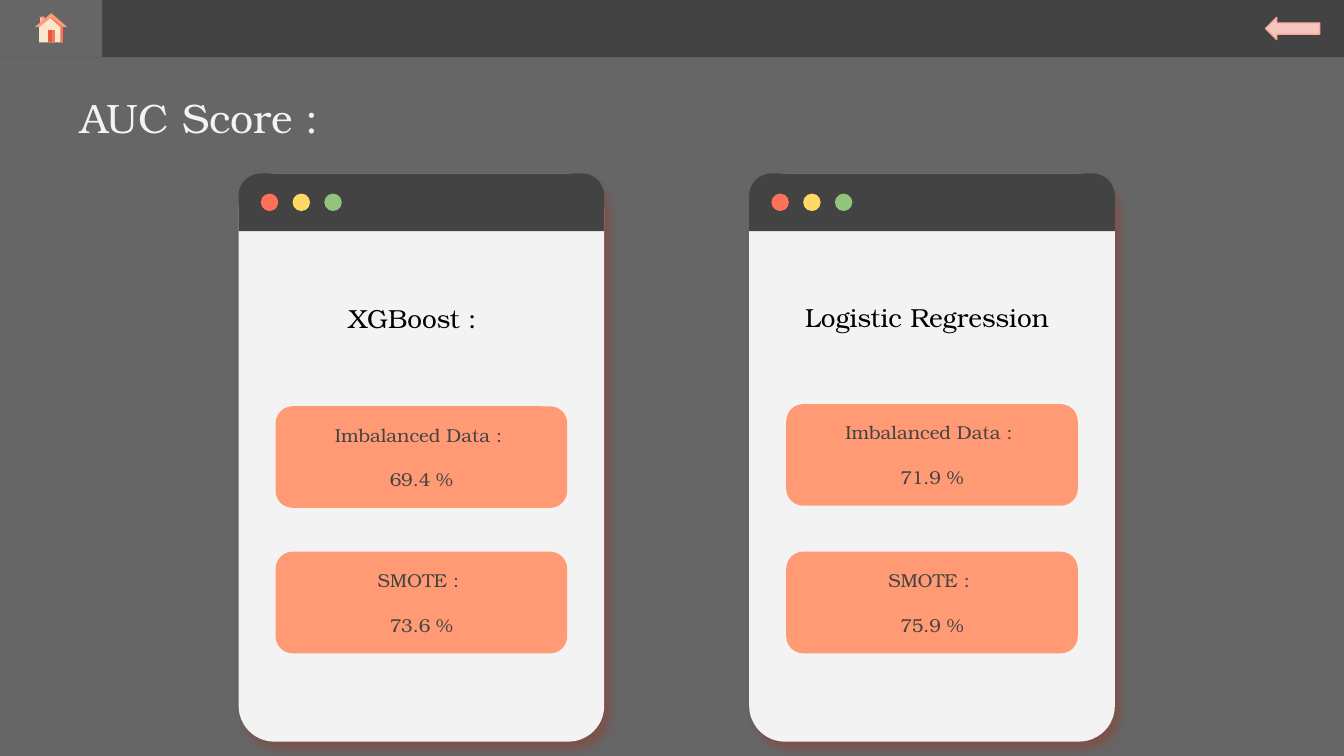
from lxml import etree
from pptx import Presentation
from pptx.dml.color import RGBColor
from pptx.enum.shapes import MSO_SHAPE
from pptx.enum.text import MSO_ANCHOR, MSO_AUTO_SIZE, PP_ALIGN
from pptx.oxml.ns import qn
from pptx.util import Cm, Pt

RECTANGLE = MSO_SHAPE.RECTANGLE
ROUNDED = MSO_SHAPE.ROUNDED_RECTANGLE
ROUNDED_TOP = MSO_SHAPE.ROUND_2_SAME_RECTANGLE
OVAL = MSO_SHAPE.OVAL
LEFT_ARROW = MSO_SHAPE.LEFT_ARROW
LEFT, CENTER = PP_ALIGN.LEFT, PP_ALIGN.CENTER
TOP, MIDDLE = MSO_ANCHOR.TOP, MSO_ANCHOR.MIDDLE

FONT = "TeX Gyre Bonum"
GREY, DARK, LIGHT, BLACK = "666666", "434343", "F3F3F3", "000000"
ORANGE, RED, DARK_RED = "FF9A75", "FF7058", "E55A43"
YELLOW, GREEN, CREAM = "FFD966", "93C47D", "FCE5CD"
PINK, DARK_PINK, SHADOW = "F6C5BE", "F9ABA0", "963A2A"

# Outlines in hundredths of a centimetre, from back to front
HOUSE_PARTS = [
    (PINK, [(76, 33), (76, 43), (84, 36), (84, 33)]),
    (DARK_PINK, [(79, 33), (79, 41), (84, 36), (84, 33)]),
    (CREAM, [(97, 30), (74, 51), (74, 80), (119, 80), (119, 51)]),
    (RED, [(97, 30), (94, 33), (114, 51), (114, 80), (119, 80), (119, 51)]),
    (DARK_RED, [(74, 30), (74, 33), (84, 33), (84, 30)]),
    (DARK_RED, [(90, 56), (90, 80), (104, 80), (104, 56)]),
    (RED, [(99, 56), (99, 80), (104, 80), (104, 56)]),
    (ORANGE, [(97, 25), (66, 51), (74, 51), (97, 33), (119, 51), (127, 51)]),
    (RED, [(81, 30), (81, 33), (84, 33), (84, 30)]),
]

# Card left, heading, heading left and top, scores as (label, value, top)
CARDS = [
    (4.51, "XGBoost : ", 4.32, 5.46,
     [("Imbalanced Data : ", "69.4 %", 7.68), ("SMOTE : ", "73.6 %", 10.43)]),
    (14.16, "Logistic Regression", 13.97, 5.44,
     [("Imbalanced Data : ", "71.9 %", 7.64), ("SMOTE : ", "75.9 %", 10.43)]),
]


def color(value):
    return RGBColor.from_string(value)


def paint(shape, fill):
    shape.shadow.inherit = False
    shape.fill.solid()
    shape.fill.fore_color.rgb = color(fill)
    shape.line.fill.background()


def add_shape(shapes, kind, left, top, width, height, fill, adjustments=()):
    shape = shapes.add_shape(kind, Cm(left), Cm(top), Cm(width), Cm(height))
    paint(shape, fill)
    for index, value in enumerate(adjustments):
        shape.adjustments[index] = value
    return shape


def write(shape, lines, size, text_color, alignment, anchor, gap=0):
    """Fill the shape with one paragraph per line, gap points apart."""
    frame = shape.text_frame
    frame.word_wrap = True
    frame.vertical_anchor = anchor
    frame.margin_left = frame.margin_right = Cm(0.25)
    frame.margin_top = frame.margin_bottom = Cm(0.25)
    for index, line in enumerate(lines):
        paragraph = frame.add_paragraph() if index else frame.paragraphs[0]
        paragraph.alignment = alignment
        paragraph.space_before = Pt(gap if index else 0)
        run = paragraph.add_run()
        run.text = line
        run.font.name = FONT
        run.font.size = Pt(size)
        run.font.color.rgb = color(text_color)


def add_soft_shadow(shape):
    effects = shape._element.spPr.find(qn("a:effectLst"))
    shadow = etree.SubElement(
        effects, qn("a:outerShdw"), blurRad=str(Pt(4.5)), dist=str(Pt(3.8)),
        dir=str(49 * 60000), algn="bl", rotWithShape="0")
    shade = etree.SubElement(shadow, qn("a:srgbClr"), val=SHADOW)
    etree.SubElement(shade, qn("a:alpha"), val="47000")


def add_house(slide):
    group = slide.shapes.add_group_shape()
    for fill, points in HOUSE_PARTS:
        builder = group.shapes.build_freeform(*points[0], scale=Cm(0.01))
        builder.add_line_segments(points[1:], close=True)
        paint(builder.convert_to_shape(), fill)


def add_title(slide):
    title = slide.shapes.title
    title.left, title.top = Cm(1.27), Cm(1.73)
    title.width, title.height = Cm(14.2), Cm(0.89)
    write(title, ["AUC Score :"], 22, LIGHT, LEFT, MIDDLE)
    title.text_frame.auto_size = MSO_AUTO_SIZE.NONE
    title.text_frame.paragraphs[0].line_spacing = 1.1


def add_card(slide, left, heading, heading_left, heading_top, scores):
    """Draw a window-like card with a heading and its score boxes."""
    shapes = slide.shapes.add_group_shape().shapes
    body = add_shape(shapes, ROUNDED, left, 3.28, 6.91, 10.74, LIGHT, [0.098])
    add_soft_shadow(body)
    add_shape(shapes, ROUNDED_TOP, left, 3.28, 6.91, 1.09, DARK, [0.383, 0])
    for index, fill in enumerate((RED, YELLOW, GREEN)):
        add_shape(shapes, OVAL, left + 0.42 + 0.6 * index, 3.66, 0.33, 0.33, fill)

    text_box = shapes.add_textbox(
        Cm(heading_left), Cm(heading_top), Cm(7.11), Cm(1.12))
    write(text_box, [heading], 14, BLACK, CENTER, TOP)
    text_box.text_frame.auto_size = MSO_AUTO_SIZE.SHAPE_TO_FIT_TEXT

    for label, value, top in scores:
        box = add_shape(shapes, ROUNDED, left + 0.7, top, 5.51, 1.92, ORANGE, [0.167])
        write(box, [label, value], 10, DARK, CENTER, MIDDLE, gap=12)


def add_back_arrow(slide):
    arrow = add_shape(slide.shapes, LEFT_ARROW, 23.92, 0.33, 1.02, 0.42, PINK)
    arrow.line.color.rgb = color(DARK_PINK)
    arrow.line.width = Pt(0.75)


def main():
    presentation = Presentation()
    presentation.slide_width, presentation.slide_height = Cm(25.4), Cm(14.29)
    slide = presentation.slides.add_slide(presentation.slide_layouts[5])
    slide.background.fill.solid()
    slide.background.fill.fore_color.rgb = color(GREY)

    add_shape(slide.shapes, RECTANGLE, 0, 0, 25.4, 1.08, DARK)
    add_shape(slide.shapes, RECTANGLE, 0, 0, 1.93, 1.08, GREY)
    add_house(slide)
    add_title(slide)
    for card in CARDS:
        add_card(slide, *card)
    add_back_arrow(slide)
    presentation.save("out.pptx")


if __name__ == "__main__":
    main()
